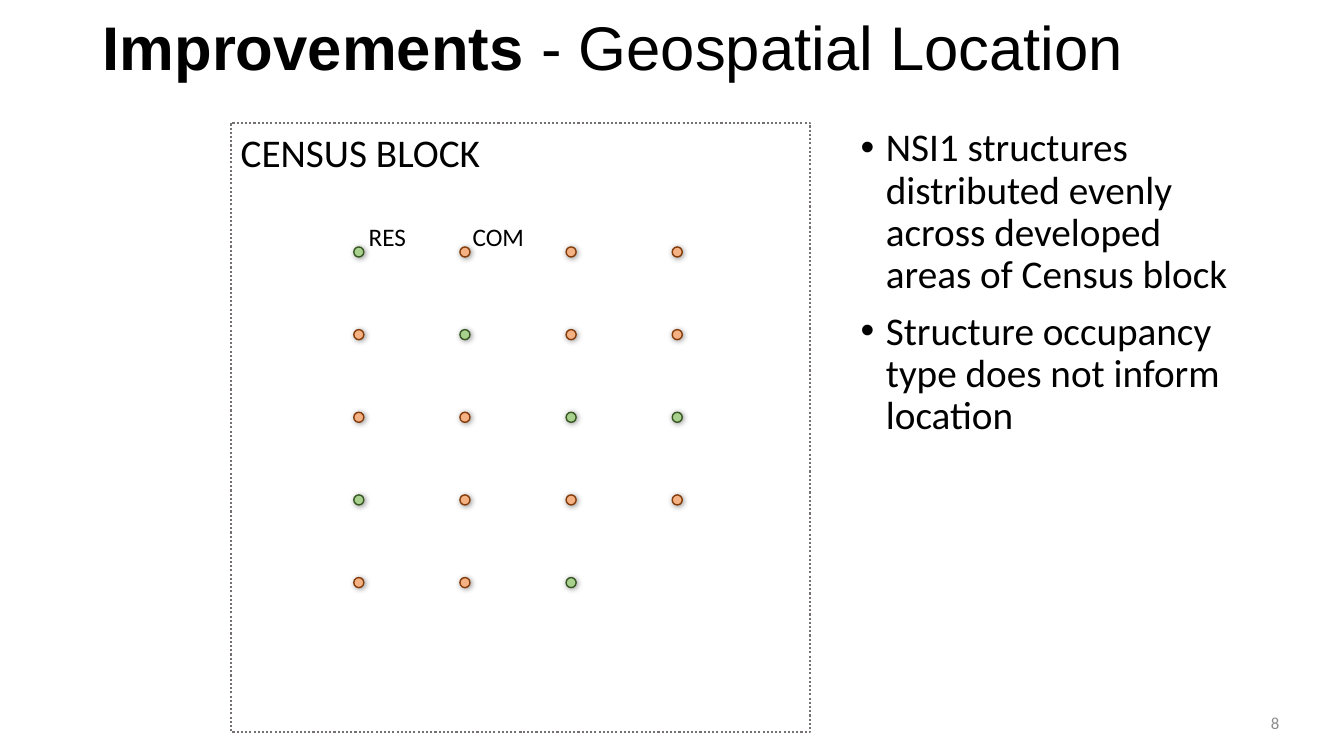
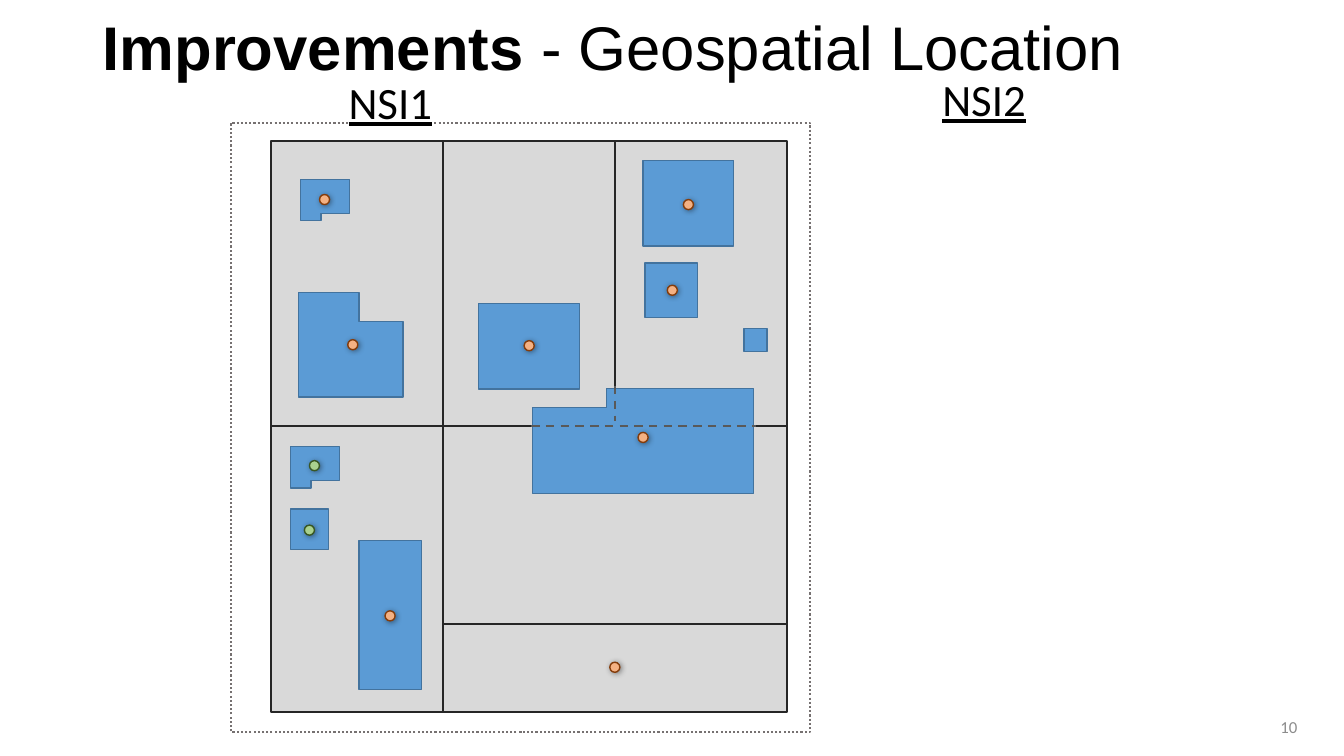
from lxml import etree
from pptx import Presentation
from pptx.dml.color import RGBColor
from pptx.enum.dml import MSO_LINE
from pptx.enum.shapes import MSO_CONNECTOR, MSO_SHAPE
from pptx.enum.text import MSO_ANCHOR, PP_ALIGN
from pptx.oxml.ns import qn
from pptx.util import Inches, Pt

RECT, ELLIPSE, CORNER = MSO_SHAPE.RECTANGLE, MSO_SHAPE.OVAL, MSO_SHAPE.CORNER
STRAIGHT = MSO_CONNECTOR.STRAIGHT
TOP, MIDDLE = MSO_ANCHOR.TOP, MSO_ANCHOR.MIDDLE
LEFT, RIGHT = PP_ALIGN.LEFT, PP_ALIGN.RIGHT
DOTTED, DASHED = MSO_LINE.ROUND_DOT, MSO_LINE.DASH

# The grid has square cells of a tenth of an inch.
CELL = 0.1
COLUMNS, ROWS = 133.33, 75
BLOCK = (22.9, 12.2, 57.5, 60.4)
DOT_SIZE = 1


def grid(*cells):
    return [Inches(cell * CELL) for cell in cells]


def colour(hex_code):
    return RGBColor.from_string(hex_code)


class Deck:
    """Holds the shared style and the slide being drawn."""

    BLACK, GREY = "000000", "8C8C8C"
    TITLE = {"name": "Arial", "size": Pt(44)}
    BODY = {"name": "Calibri", "size": Pt(28)}
    TAG = {"name": "Calibri", "size": Pt(18)}
    HEADING = {"name": "Calibri", "size": Pt(32), "underline": True}
    NUMBER = {"name": "Calibri", "size": Pt(12)}

    # fill, line colour, line width
    PARCEL = ("D9D9D9", "262626", 1.5)
    BUILDING = ("5B9BD5", "43739E", 1)
    OCCUPANCY = {"R": ("A9D18E", "385723", 1), "C": ("F4B183", "843C0B", 1)}

    def __init__(self):
        self.presentation = Presentation()
        width, height = grid(COLUMNS, ROWS)
        self.presentation.slide_width = width
        self.presentation.slide_height = height
        self.blank = self.presentation.slide_layouts[6]
        self.shapes = None

    def new_slide(self, number, number_at):
        self.shapes = self.presentation.slides.add_slide(self.blank).shapes
        self.shape(RECT, BLOCK, (None, "767171", 1.5)).line.dash_style = DOTTED
        title = self.text_frame((9.2, 0, 115, 10), MIDDLE).paragraphs[0]
        title.line_spacing = 0.9
        self.run(title, "Improvements", self.TITLE | {"bold": True})
        self.run(title, " - Geospatial Location", self.TITLE)
        footer = self.text_frame((*number_at, 30, 4), MIDDLE).paragraphs[0]
        footer.alignment = RIGHT
        self.run(footer, number, self.NUMBER, self.GREY)

    def text_frame(self, box, anchor=TOP, wrap=True):
        frame = self.shapes.add_textbox(*grid(*box)).text_frame
        frame.word_wrap = wrap
        frame.vertical_anchor = anchor
        return frame

    def run(self, paragraph, text, style, ink=BLACK):
        run = paragraph.add_run()
        run.text = text
        for attribute, value in style.items():
            setattr(run.font, attribute, value)
        run.font.color.rgb = colour(ink)

    def label(self, text, box, style):
        paragraph = self.text_frame(box, wrap=False).paragraphs[0]
        paragraph.alignment = LEFT
        self.run(paragraph, text, style)

    def bullets(self, items, box):
        frame = self.text_frame(box)
        for index, item in enumerate(items):
            paragraph = frame.add_paragraph() if index else frame.paragraphs[0]
            properties = paragraph._p.get_or_add_pPr()
            properties.set("marL", str(Inches(0.25)))
            properties.set("indent", str(-Inches(0.25)))
            etree.SubElement(properties, qn("a:buFont"), typeface="Arial")
            etree.SubElement(properties, qn("a:buChar"), char="•")
            paragraph.line_spacing = 0.9
            paragraph.space_before = Pt(10 if index else 0)
            self.run(paragraph, item, self.BODY)

    def shape(self, kind, box, look, turn=0, adjustments=()):
        fill, line, width = look
        shape = self.shapes.add_shape(kind, *grid(*box))
        shape.shadow.inherit = False
        shape.rotation = turn
        for index, value in enumerate(adjustments):
            shape.adjustments[index] = value
        if fill:
            shape.fill.solid()
            shape.fill.fore_color.rgb = colour(fill)
        else:
            shape.fill.background()
        shape.line.color.rgb = colour(line)
        shape.line.width = Pt(width)
        return shape

    def structure(self, occupancy, left, top):
        """Draw the shadowed dot that marks one structure."""
        box = (left, top, DOT_SIZE, DOT_SIZE)
        dot = self.shape(ELLIPSE, box, self.OCCUPANCY[occupancy])
        effects = dot._element.spPr.find(qn("a:effectLst"))
        shadow = etree.SubElement(
            effects, qn("a:outerShdw"), blurRad=str(Pt(4)), dist=str(Pt(1)),
            dir=str(45 * 60000), algn="tl", rotWithShape="0")
        ink = etree.SubElement(shadow, qn("a:srgbClr"), val=self.BLACK)
        etree.SubElement(ink, qn("a:alpha"), val="40000")

    def hidden_boundary(self, start, end):
        """Draw a parcel boundary that runs beneath a building."""
        boundary = self.shapes.add_connector(STRAIGHT, *grid(*start, *end))
        boundary.line.color.rgb = colour("595959")
        boundary.line.width = Pt(1.5)
        boundary.line.dash_style = DASHED
        etree.SubElement(boundary._element.spPr, qn("a:effectLst"))

    def save(self):
        self.presentation.save("out.pptx")


def even_distribution(deck):
    deck.new_slide("8", (97.9, 69.7))
    deck.bullets([
        "NSI1 structures distributed evenly across developed areas of Census block",
        "Structure occupancy type does not inform location",
    ], (84.4, 12.2, 39.8, 55.4))
    for row, occupancies in enumerate(["RCCC", "CRCC", "CCRR", "RCCC", "CCR"]):
        for column, occupancy in enumerate(occupancies):
            deck.structure(occupancy, 35.1 + 10.53 * column, 24.5 + 8.2 * row)
    deck.label("CENSUS BLOCK", (*BLOCK[:2], 26, 5.7), deck.BODY)
    deck.label("RES", (35.6, 21.5, 5.7, 4), deck.TAG)
    deck.label("COM", (45.9, 21.5, 7.2, 4), deck.TAG)


def parcel_map(deck):
    deck.new_slide("10", (99.7, 70.1))

    left, top, width, height = 26.9, 14, 17.07, 28.3
    middle, lot_height = top + height, 19.6
    parcels = [(left + width * column, top, width, height) for column in range(3)]
    parcels += [
        (left, middle, width, height),
        (left + width, middle, 2 * width, lot_height),
        (left + width, middle + lot_height, 2 * width, height - lot_height),
    ]
    for parcel in parcels:
        deck.shape(RECT, parcel, deck.PARCEL)

    for building in [
        (47.5, 30.1, 10, 8.5), (63.8, 15.9, 9, 8.5), (64, 26.1, 5.2, 5.4),
        (73.8, 32.6, 2.3, 2.3), (35.6, 53.6, 6.2, 14.8), (28.8, 50.5, 3.8, 4),
    ]:
        deck.shape(RECT, building, deck.BUILDING)

    house = (0.5, 0.82)
    for building, turn, adjustments in [
        ((29.6, 29, 10.4, 10.4), 0, (0.72, 0.58)),
        ((30.2, 17.4, 4.1, 4.9), 90, house),
        ((29.2, 43.9, 4.1, 4.9), 90, house),
        ((58.6, 32.8, 10.4, 21.9), 270, (1.4, 0.82)),
    ]:
        deck.shape(CORNER, building, deck.BUILDING, turn, adjustments)

    deck.hidden_boundary((52.7, middle), (75, middle))
    deck.hidden_boundary((61, 38.3), (61, 41.8))

    structures = {
        "C": [(31.7, 19.3), (34.5, 33.7), (52, 33.8), (66.2, 28.3),
              (67.8, 19.8), (38.2, 60.6), (63.3, 42.9), (60.5, 65.7)],
        "R": [(30.2, 52.1), (30.7, 45.7)],
    }
    for occupancy, places in structures.items():
        for place in places:
            deck.structure(occupancy, *place)

    deck.label("NSI2", (92.5, 6.6, 10.6, 6.4), deck.HEADING)
    deck.label("NSI1", (33.6, 6.9, 10.6, 6.4), deck.HEADING)


def main():
    deck = Deck()
    even_distribution(deck)
    parcel_map(deck)
    deck.save()


if __name__ == "__main__":
    main()
